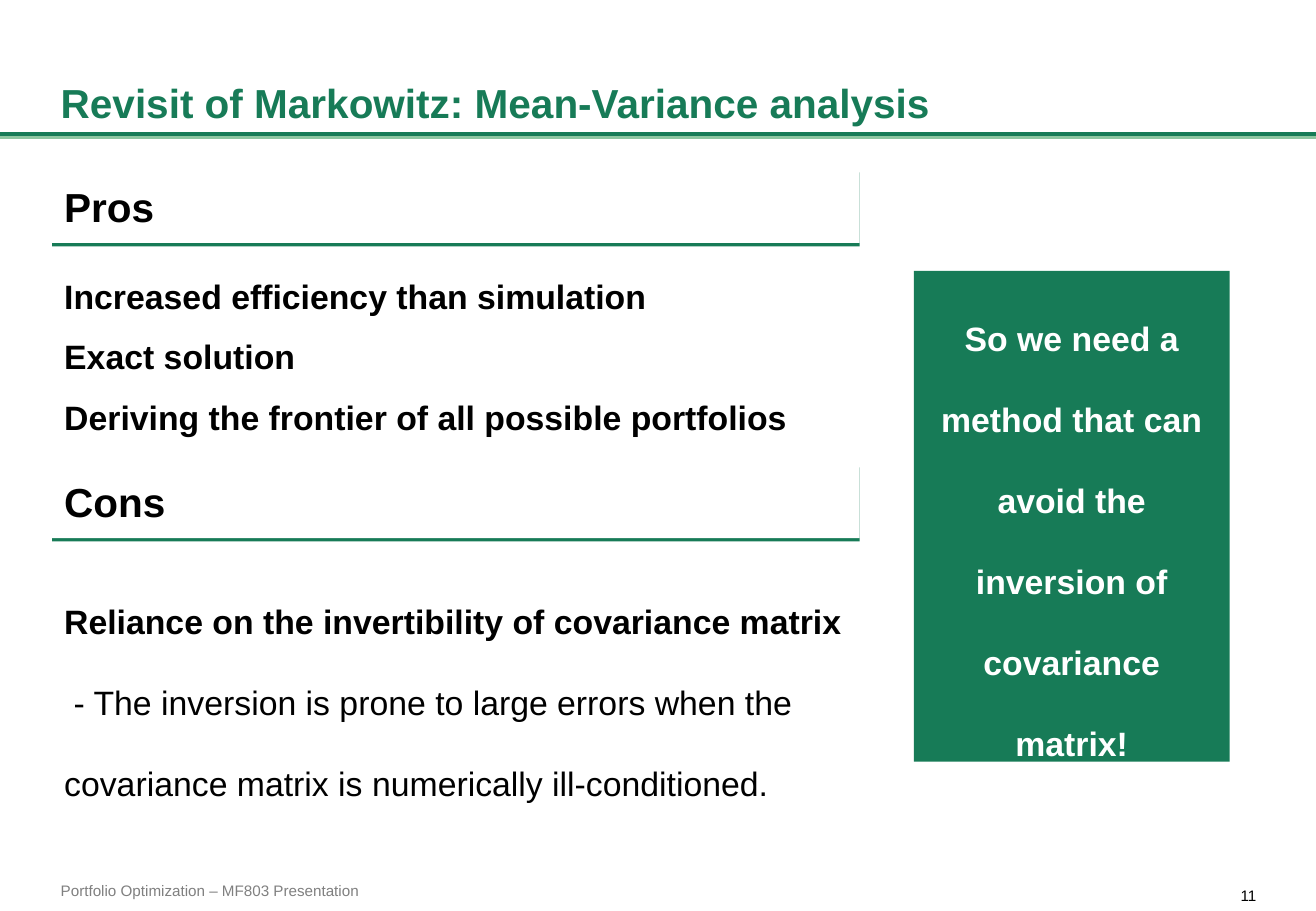
from lxml import etree
from pptx import Presentation
from pptx.dml.color import RGBColor
from pptx.enum.shapes import MSO_CONNECTOR, MSO_SHAPE
from pptx.enum.text import MSO_ANCHOR, PP_ALIGN
from pptx.oxml.ns import qn
from pptx.util import Pt

RECT = MSO_SHAPE.RECTANGLE
TOP, MIDDLE, BOTTOM = MSO_ANCHOR.TOP, MSO_ANCHOR.MIDDLE, MSO_ANCHOR.BOTTOM
LEFT, CENTER, RIGHT = PP_ALIGN.LEFT, PP_ALIGN.CENTER, PP_ALIGN.RIGHT
GREEN, LIGHT_GREEN, GRAY = "177B57", "8EC6A1", "808080"
BLACK, WHITE = "000000", "FFFFFF"
WIDTH, HEIGHT = 779.76, 540


def rgb(color):
    return RGBColor.from_string(color)


def add_text(box, lines, size, color=BLACK, bold=True, fill=None, shadow=None,
             margins=(7.2, 7.2), anchor=TOP, align=LEFT, spacing=1):
    """Add a text box, or a rectangle if fill is given, with one paragraph a line."""
    box = [Pt(v) for v in box]
    if fill:
        sp = s.shapes.add_shape(RECT, *box)
        sp.fill.solid()
        sp.fill.fore_color.rgb = rgb(fill)
        sp.line.fill.background()
        sp.shadow.inherit = False
    else:
        sp = s.shapes.add_textbox(*box)
    tf = sp.text_frame
    tf.word_wrap = True
    tf.vertical_anchor = anchor
    tf.margin_left = tf.margin_right = Pt(margins[0])
    tf.margin_top = tf.margin_bottom = Pt(margins[1])
    tf.text = "\n".join(lines)
    for p in tf.paragraphs:
        p.alignment = align
        p.line_spacing = spacing
        p.font.name = "Arial"
        p.font.size = Pt(size)
        p.font.bold = bold
        p.font.color.rgb = rgb(color)
    return sp


def drop_shadow(sp, color):
    """Cast a sharp shadow two points straight down."""
    spPr = sp._element.spPr
    effects = spPr.find(qn("a:effectLst"))
    if effects is None:
        effects = etree.SubElement(spPr, qn("a:effectLst"))
    outer = etree.SubElement(effects, qn("a:outerShdw"), blurRad="0",
                             dist=str(Pt(2)), dir="5400000", algn="ctr", rotWithShape="0")
    etree.SubElement(outer, qn("a:srgbClr"), val=color)


prs = Presentation()
prs.slide_width, prs.slide_height = Pt(WIDTH), Pt(HEIGHT)
s = prs.slides.add_slide(prs.slide_layouts[6])

# Footer and page number
add_text((36, 519.84, 367.2, 15.84), ["Portfolio Optimization – MF803 Presentation"], 9,
         GRAY, bold=False, margins=(0, 0), anchor=MIDDLE)
add_text((729.36, 525.6, 15.12, 10.08), ["11"], 9, bold=False, margins=(0, 0), align=RIGHT)

# Title with its rule
rule = s.shapes.add_connector(MSO_CONNECTOR.STRAIGHT, Pt(WIDTH), Pt(79.2), Pt(0), Pt(79.2))
rule.line.color.rgb = rgb(GREEN)
rule.line.width = Pt(2.25)
drop_shadow(rule, LIGHT_GREEN)
add_text((36, 12.96, 707.76, 65.52), ["Revisit of Markowitz: Mean-Variance analysis"], 24,
         GREEN, margins=(0, 3.6), anchor=BOTTOM)

# Section headings
for heading, top in (("Pros", 100.08), ("Cons", 275.04)):
    sp = add_text((30.96, top, 478.5, 43.92), [heading], 24, fill=WHITE, anchor=BOTTOM)
    drop_shadow(sp, GREEN)

# Section bodies
add_text((30.96, 144, 462.24, 102.96),
         ["Increased efficiency than simulation",
          "Exact solution",
          "Deriving the frontier of all possible portfolios"], 20, spacing=1.5)
cons = add_text((30.96, 324.72, 496.8, 133.92),
                ["Reliance on the invertibility of covariance matrix",
                 " - The inversion is prone to large errors when the covariance matrix"
                 " is numerically ill-conditioned."], 20, spacing=2)
cons.text_frame.paragraphs[1].font.bold = False

# Conclusion
add_text((541.44, 160.56, 187.2, 290.88),
         ["So we need a method that can avoid the inversion of covariance matrix!"], 20,
         WHITE, fill=GREEN, margins=(7.2, 3.6), align=CENTER, spacing=2)

prs.save("out.pptx")
